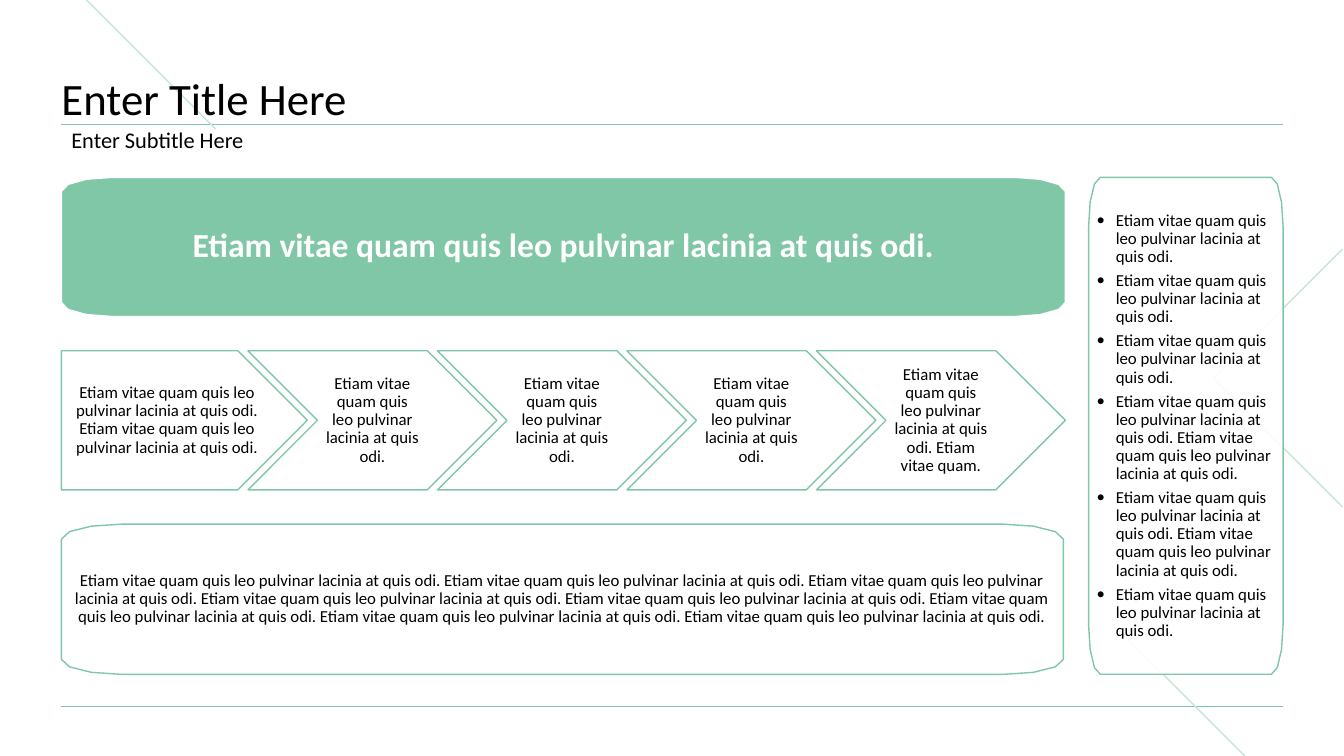
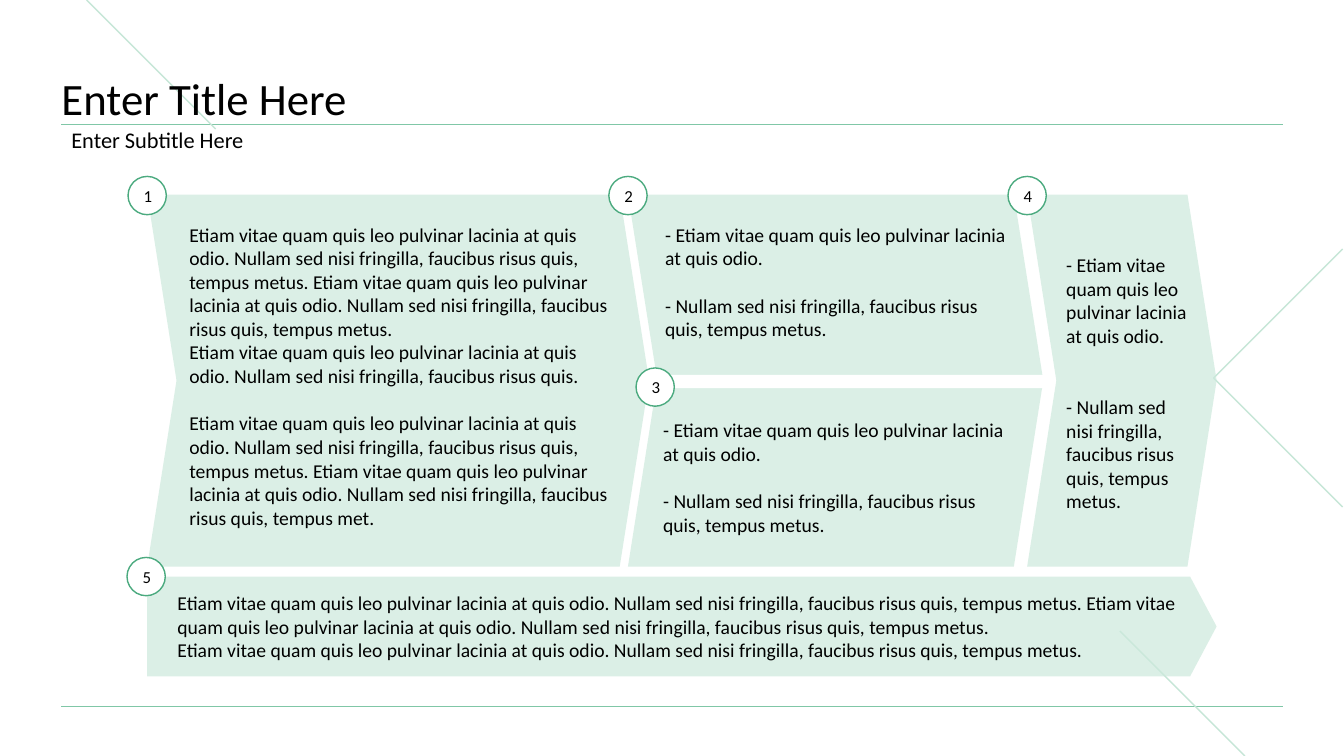
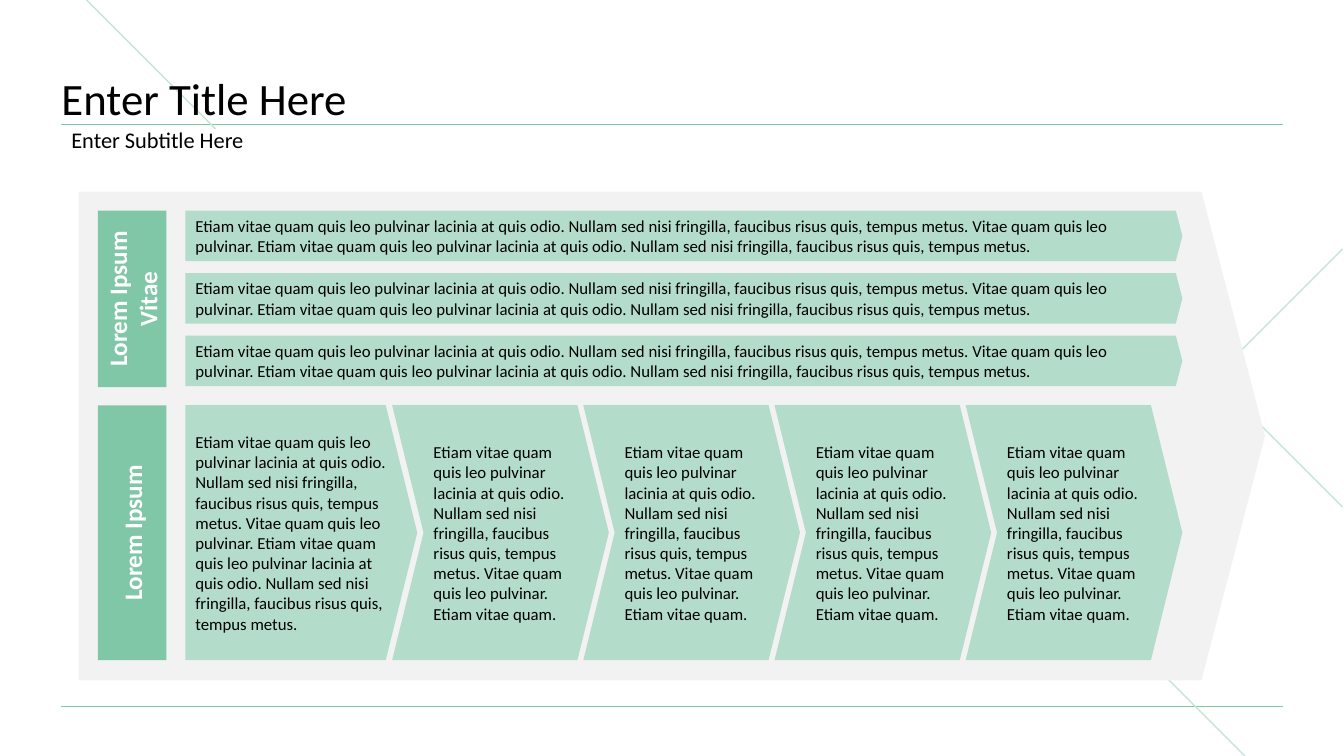
from collections import namedtuple
from math import cos, pi, sin

from lxml.etree import SubElement
from pptx import Presentation
from pptx.dml.color import RGBColor
from pptx.enum.shapes import MSO_CONNECTOR, MSO_SHAPE
from pptx.enum.text import MSO_ANCHOR, PP_ALIGN
from pptx.oxml.ns import qn
from pptx.util import Inches, Pt

COLORS = {
    "white": "FFFFFF",
    "black": "000000",
    "green": "80C7A7",
    "ring": "4BAA7F",
    "accent": "C6E6D7",
    "pale": "CCE9DC",
    "soft": "B3DDCA",
    "gray": "F2F2F2",
}
FONT = "Calibri"
LEFT, RIGHT = 0.61, 12.73
DEFAULT_INSETS = (0.1, 0.05, 0.1, 0.05)

ODI = "Etiam vitae quam quis leo pulvinar lacinia at quis odi."
ODIO = "Etiam vitae quam quis leo pulvinar lacinia at quis odio."
NULLAM = "Nullam sed nisi fringilla, faucibus risus quis, tempus metus."
PAIR = f"{ODIO} {NULLAM}"
VITAE = f"{PAIR} Vitae quam quis leo pulvinar."

Box = namedtuple("Box", "left top width height")


def lengths(box):
    return [Inches(value) for value in box]


def color(name):
    return RGBColor.from_string(COLORS[name])


# Shared formatting
def write(shape, texts, size=12, ink="black", bold=False, align=PP_ALIGN.LEFT,
          anchor=MSO_ANCHOR.MIDDLE, insets=DEFAULT_INSETS, spacing=None,
          gaps=None, bullets=False):
    """Fill a shape with paragraphs; gaps maps a paragraph index to points before it."""
    frame = shape.text_frame
    frame.word_wrap = True
    frame.vertical_anchor = anchor
    (frame.margin_left, frame.margin_top,
     frame.margin_right, frame.margin_bottom) = lengths(insets)
    for index, text in enumerate(texts):
        para = frame.paragraphs[0] if index == 0 else frame.add_paragraph()
        para.alignment = align
        para.space_before = Pt((gaps or {}).get(index, 0))
        if spacing:
            para.line_spacing = spacing
        if bullets:
            add_bullet(para)
        span = para.add_run()
        span.text = text
        span.font.name = FONT
        span.font.size = Pt(size)
        span.font.bold = bold
        span.font.color.rgb = color(ink)


def add_bullet(para):
    para.space_after = Pt(4.2)
    properties = para._p.get_or_add_pPr()
    properties.set("marL", str(Inches(0.19)))
    properties.set("indent", str(-Inches(0.19)))
    SubElement(properties, qn("a:buFont")).set("typeface", FONT)
    SubElement(properties, qn("a:buChar")).set("char", "•")


def style(shape, fill=None, line=None, opacity=100):
    shape.shadow.inherit = False
    if fill:
        shape.fill.solid()
        shape.fill.fore_color.rgb = color(fill)
        if opacity < 100:
            tint = shape.element.spPr.find(".//" + qn("a:srgbClr"))
            SubElement(tint, qn("a:alpha")).set("val", str(opacity * 1000))
    else:
        shape.fill.background()
    if line:
        shape.line.color.rgb = color(line)
        shape.line.width = Pt(1)
    else:
        shape.line.fill.background()


def add_preset(page, kind, box, fill, line=None, opacity=100, adjust=None):
    shape = page.shapes.add_shape(kind, *lengths(box))
    style(shape, fill, line, opacity)
    if adjust is not None:
        shape.adjustments[0] = adjust
    return shape


def add_outline(page, points, closed):
    corners = [(Inches(x), Inches(y)) for x, y in points]
    builder = page.shapes.build_freeform(*corners[0])
    builder.add_line_segments(corners[1:], close=closed)
    return builder.convert_to_shape()


def add_panel(page, box, fill, line, opacity=100, curve=0.06):
    """Box with elliptical corners, sized as shares of its width and height."""
    radius_x, radius_y = box.width * curve, box.height * 0.1
    right, bottom = box.left + box.width, box.top + box.height
    centers = [
        (right - radius_x, bottom - radius_y), (box.left + radius_x, bottom - radius_y),
        (box.left + radius_x, box.top + radius_y), (right - radius_x, box.top + radius_y),
    ]
    steps = 3
    points = []
    for quarter, (x, y) in enumerate(centers):
        for step in range(steps + 1):
            angle = (quarter + step / steps) * pi / 2
            points.append((x + radius_x * cos(angle), y + radius_y * sin(angle)))
    panel = add_outline(page, points, closed=True)
    style(panel, fill, line, opacity)
    return panel


def add_line(page, start, end, ink, width):
    line = page.shapes.add_connector(MSO_CONNECTOR.STRAIGHT, *lengths(start + end))
    line.line.color.rgb = color(ink)
    line.line.width = Pt(width)
    SubElement(line.element.spPr, qn("a:effectLst"))
    return line


# Background lines, kept on the layout that all slides share
def decorate_layout(layout, page):
    for holder in list(layout.placeholders):
        if holder.placeholder_format.idx != 0:
            holder.element.getparent().remove(holder.element)
    corner = add_outline(page, [(13.32, 2.47), (12.04, 3.75), (13.32, 5.03)], closed=False)
    style(corner, line="accent")
    decorations = [
        add_line(page, (LEFT, 7.01), (RIGHT, 7.01), "green", 0.5),
        add_line(page, (LEFT, 1.23), (RIGHT, 1.23), "green", 0.5),
        add_line(page, (11.11, 6.26), (12.35, 7.5), "accent", 1),
        add_line(page, (0.86, 0), (2.14, 1.28), "accent", 1),
        corner,
    ]
    for shape in decorations:
        layout.shapes.element.append(shape.element)


# Title and subtitle of every slide
def add_page(deck):
    layout = deck.slide_layouts[5]
    page = deck.slides.add_slide(layout)
    if len(deck.slides) == 1:
        decorate_layout(layout, page)

    title = page.shapes.title
    title.left, title.top, title.width, title.height = lengths(
        (LEFT, 0.44, RIGHT - LEFT, 0.8))
    write(title, ["Enter Title Here"], 32, anchor=MSO_ANCHOR.BOTTOM,
          insets=(0, 0, 0, 0), spacing=0.9)
    subtitle = page.shapes.add_textbox(*lengths((LEFT, 1.23, RIGHT - LEFT, 0.34)))
    write(subtitle, ["Enter Subtitle Here"], 16, spacing=0.9)
    return page


# Slide 1: banner, process arrows, summary and side list
def add_process(page, box):
    first_width, width, pitch = 2.44, 2.47, 1.88
    texts = [f"{ODI} {ODI}", ODI, ODI, ODI, f"{ODI} Etiam vitae quam."]
    for index, text in enumerate(texts):
        if index == 0:
            kind, place = MSO_SHAPE.PENTAGON, box._replace(width=first_width)
        else:
            left = box.left + box.width - width - (len(texts) - 1 - index) * pitch
            kind, place = MSO_SHAPE.CHEVRON, box._replace(left=left, width=width)
        step = add_preset(page, kind, place, "white", "green", 90, 0.5)
        write(step, [text], align=PP_ALIGN.CENTER, spacing=0.9,
              insets=(0.08, 0.07, 0.08, 0.07))


def build_process_slide(deck):
    page = add_page(deck)
    insets = (0.08, 0.07, 0.08, 0.07)
    add_process(page, Box(LEFT, 3.48, 9.96, 1.38))

    summary = add_panel(page, Box(LEFT, 5.2, 9.94, 1.49), "white", "green", 90)
    write(summary, [" ".join([ODI] * 8)], align=PP_ALIGN.CENTER, insets=insets, spacing=0.9)
    banner = add_panel(page, Box(LEFT, 1.76, 9.96, 1.38), "green", "white", curve=0.05)
    write(banner, [ODI], 24, "white", True, PP_ALIGN.CENTER, spacing=0.9)

    side_list = add_panel(page, Box(10.8, 1.76, 1.93, 4.93), "white", "green", 90)
    twice = f"{ODI} {ODI}"
    write(side_list, [ODI, ODI, ODI, twice, twice, ODI], insets=insets,
          spacing=0.9, bullets=True)


# Slide 2: numbered blocks
def add_note(page, box, texts, gaps):
    note = page.shapes.add_textbox(*lengths(box))
    write(note, texts, 14, anchor=MSO_ANCHOR.TOP, gaps=gaps)


def add_badge(page, number, x, y):
    size = 0.38
    badge = add_preset(page, MSO_SHAPE.OVAL, Box(x - size / 2, y - size / 2, size, size),
                       "white", "ring")
    write(badge, [str(number)], align=PP_ALIGN.CENTER)


def add_numbered_blocks(page, box):
    blank_line = 17.1
    dashed = [f"- {ODIO}", f"- {NULLAM}"]
    chevron_height = 3.69
    right = box.left + box.width
    split_left, final_left = box.left + 4.77, box.left + 8.73

    # Split block
    add_preset(page, MSO_SHAPE.CHEVRON, Box(split_left, box.top, 4.12, chevron_height),
               "pale", opacity=70, adjust=0.079)
    add_preset(page, MSO_SHAPE.RECTANGLE, Box(split_left + 0.25, box.top + 1.79, 3.91, 0.13),
               "white")
    for left, top in ((0.27, 0.23), (0.25, 2.17)):
        add_note(page, Box(split_left + left, box.top + top, 3.68, 1.35),
                 dashed, {1: blank_line})

    # Final block
    final = add_preset(page, MSO_SHAPE.CHEVRON,
                       Box(final_left, box.top, right - final_left, chevron_height),
                       "pale", opacity=70, adjust=0.154)
    write(final, dashed, 14, insets=(0.1, 0.05, 0, 0), gaps={1: 2 * blank_line})

    # Base arrow
    base_height = 0.99
    base_top = box.top + box.height - base_height
    base = add_preset(page, MSO_SHAPE.PENTAGON,
                      Box(box.left, base_top, box.width, base_height),
                      "pale", opacity=70, adjust=0.266)
    write(base, [f"{PAIR} {PAIR}", PAIR], 14, insets=(0.3, 0, 0, 0))

    # First block
    add_preset(page, MSO_SHAPE.CHEVRON, Box(box.left, box.top, 4.98, chevron_height),
               "pale", opacity=70, adjust=0.079)
    add_note(page, Box(box.left + 0.32, box.top + 0.23, 4.47, 3.29),
             [f"{PAIR} {PAIR}",
              f"{ODIO} Nullam sed nisi fringilla, faucibus risus quis.",
              f"{PAIR} {ODIO} Nullam sed nisi fringilla, faucibus risus quis, tempus met."],
             {2: blank_line})

    centers = [(box.left, box.top + 0.01), (split_left, box.top + 0.01),
               (split_left + 0.27, box.top + 1.91), (final_left, box.top + 0.01),
               (box.left - 0.01, base_top)]
    for number, (x, y) in enumerate(centers, 1):
        add_badge(page, number, x, y)


def build_numbered_slide(deck):
    add_numbered_blocks(add_page(deck), Box(1.46, 1.93, 10.61, 4.78))


# Slide 3: two labelled groups inside one large arrow
def add_vertical_label(page, box, text):
    turned = Box(box.left + (box.width - box.height) / 2,
                 box.top + (box.height - box.width) / 2, box.height, box.width)
    label = add_preset(page, MSO_SHAPE.RECTANGLE, turned, "green")
    label.rotation = 270
    write(label, [text], 18, "white", True, PP_ALIGN.CENTER)


def add_rows(page, box):
    count, height, pitch = 3, 0.5, 0.62
    for index in range(count):
        place = box._replace(top=box.top + index * pitch, height=height)
        row = add_preset(page, MSO_SHAPE.PENTAGON, place, "soft", adjust=0.13)
        write(row, [f"{VITAE} {PAIR}"])


def add_columns(page, box):
    first = add_preset(page, MSO_SHAPE.PENTAGON, box._replace(width=2.3), "soft", adjust=0.136)
    write(first, [f"{VITAE} {PAIR}"])
    count, width, offset = 4, 2.15, 2.05
    pitch = (box.width - width - offset) / (count - 1)
    for index in range(count):
        place = box._replace(left=box.left + offset + index * pitch, width=width)
        column = add_preset(page, MSO_SHAPE.CHEVRON, place, "soft", adjust=0.145)
        write(column, [f"{VITAE} Etiam vitae quam."])


def build_grouped_slide(deck):
    page = add_page(deck)
    frame = Box(0.78, 1.9, 11.77, 4.85)
    add_preset(page, MSO_SHAPE.PENTAGON, frame, "gray", adjust=0.13)
    groups = [("Lorem Ipsum Vitae", 0.19, 1.75, add_rows),
              ("Lorem Ipsum", 2.12, 2.53, add_columns)]
    for label, offset, height, add_content in groups:
        top = frame.top + offset
        add_vertical_label(page, Box(frame.left + 0.19, top, 0.68, height), label)
        add_content(page, Box(frame.left + 1.06, top, 9.89, height))


deck = Presentation()
deck.slide_width, deck.slide_height = Inches(40 / 3), Inches(7.5)
build_process_slide(deck)
build_numbered_slide(deck)
build_grouped_slide(deck)
deck.save("out.pptx")
